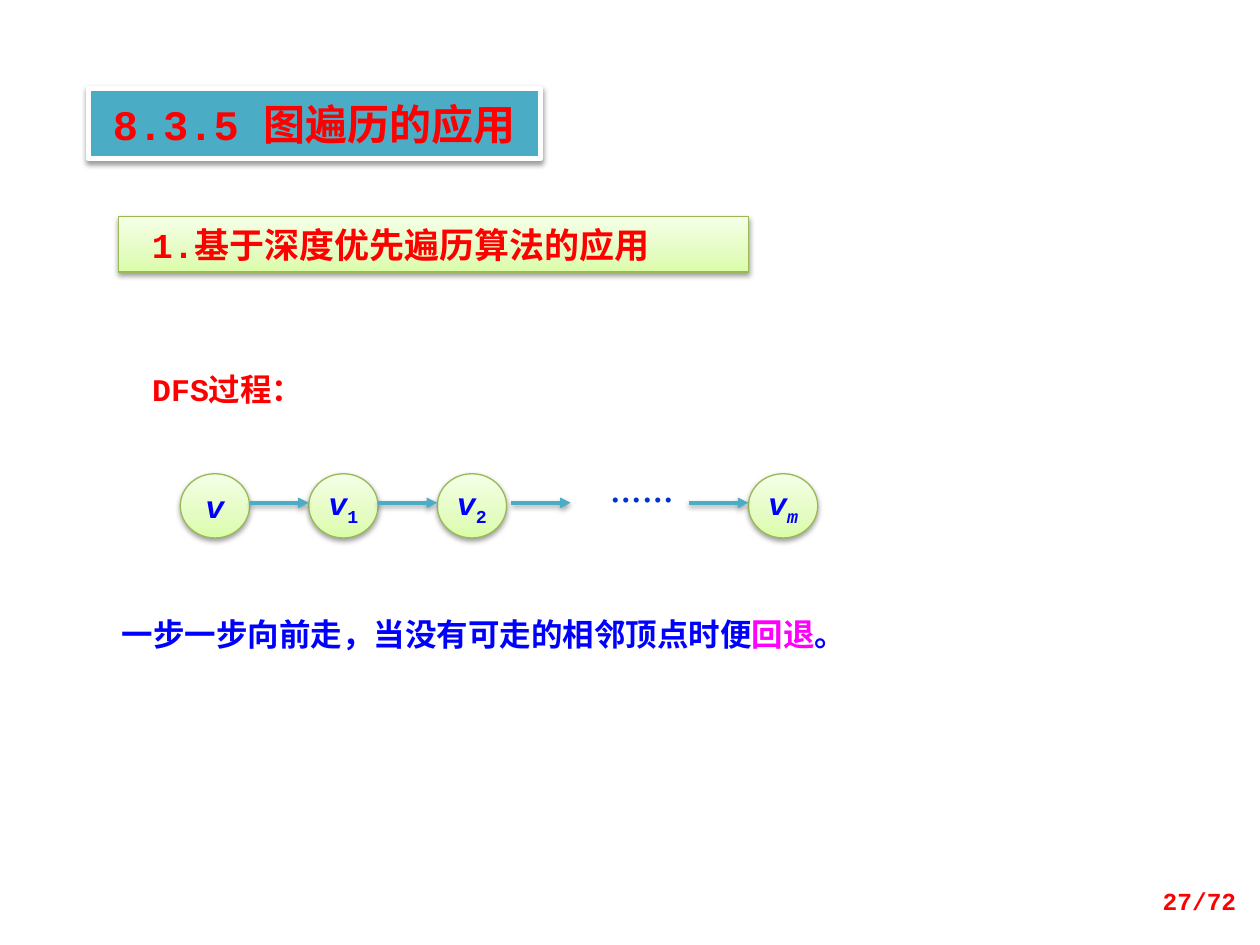
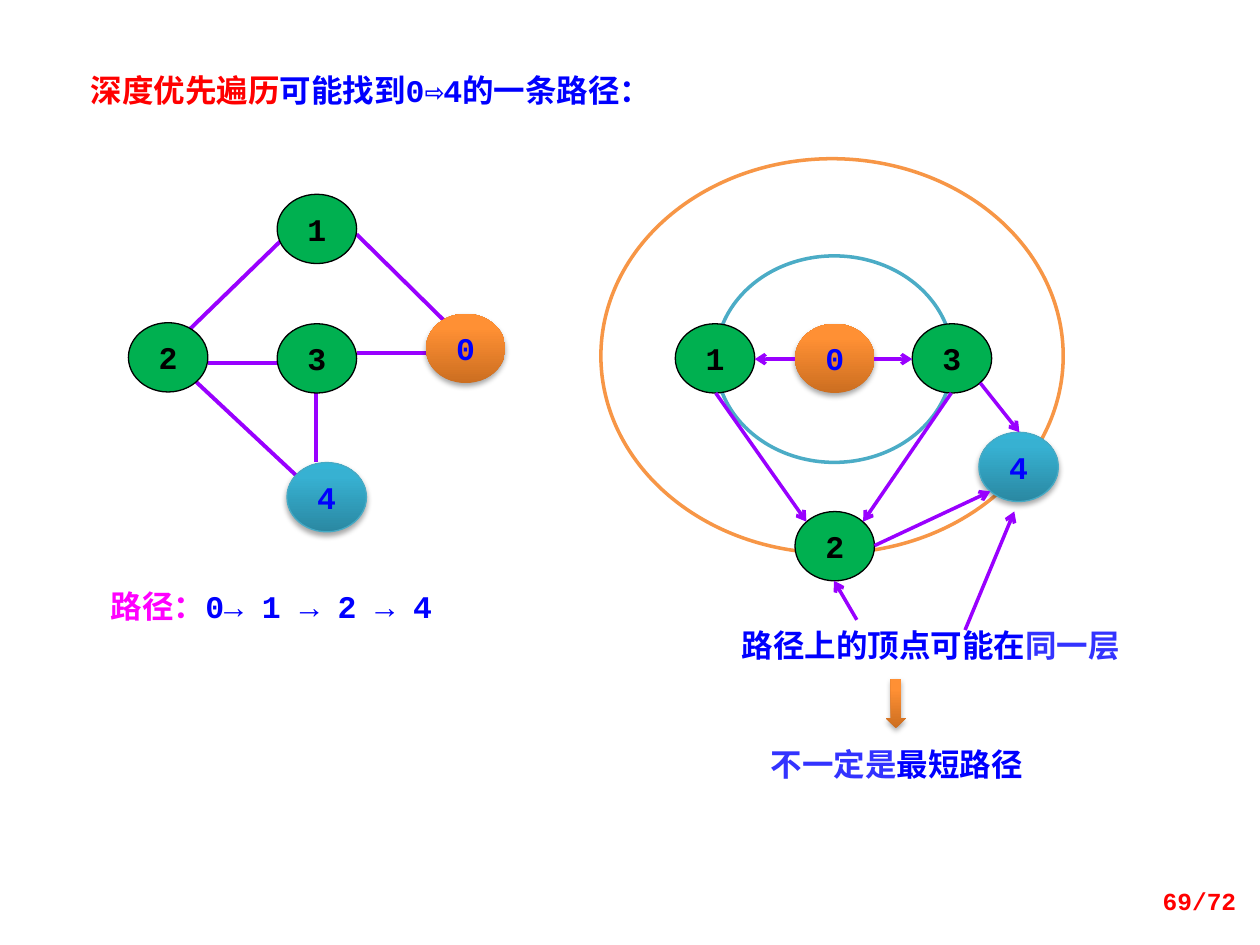
from copy import deepcopy

from lxml.etree import SubElement
from pptx import Presentation
from pptx.dml.color import RGBColor
from pptx.enum.shapes import MSO_CONNECTOR as Connector, MSO_SHAPE as Preset
from pptx.enum.text import MSO_ANCHOR as Anchor, MSO_AUTO_SIZE as AutoSize, PP_ALIGN as Align
from pptx.oxml.ns import qn
from pptx.util import Pt

RED = RGBColor(0xFF, 0x00, 0x00)
BLUE = RGBColor(0x00, 0x00, 0xFF)
SOFT_BLUE = RGBColor(0x33, 0x33, 0xFF)
DOT_BLUE = RGBColor(0x00, 0x33, 0xCC)
MAGENTA = RGBColor(0xFF, 0x00, 0xFF)
PURPLE = RGBColor(0x99, 0x00, 0xFF)
TEAL = RGBColor(0x4B, 0xAC, 0xC6)
ORANGE = RGBColor(0xF7, 0x96, 0x46)
GREEN = RGBColor(0x00, 0xB0, 0x50)
OLIVE = RGBColor(0x98, 0xB9, 0x55)
RIM_TEAL = RGBColor(0x46, 0xAA, 0xC5)
WHITE = RGBColor(0xFF, 0xFF, 0xFF)
BLACK = RGBColor(0x00, 0x00, 0x00)

LIME_STOPS = ((0, RGBColor(0xDA, 0xFD, 0xA7)), (0.35, RGBColor(0xE4, 0xFC, 0xC2)),
              (1, RGBColor(0xF5, 0xFF, 0xE7)))
TEAL_STOPS = ((0, RGBColor(0x2A, 0x88, 0xA2)), (0.8, RGBColor(0x37, 0xB1, 0xD2)),
              (1, RGBColor(0x34, 0xB4, 0xD6)))
ORANGE_STOPS = ((0, RGBColor(0xCC, 0x6E, 0x20)), (0.8, RGBColor(0xFF, 0x90, 0x34)),
                (1, RGBColor(0xFF, 0x91, 0x36)))

SOFT_SHADOW = {"alpha": 38, "distance": 1.57}
DEEP_SHADOW = {"alpha": 35, "distance": 1.81}
LIME_STYLE = {"fill": LIME_STOPS, "line": OLIVE, "shadow": SOFT_SHADOW}
VISITED_STYLE = {"fill": GREEN, "line": BLACK}
START_STYLE = {"fill": ORANGE_STOPS, "shadow": DEEP_SHADOW}
GOAL_STYLE = {"fill": TEAL_STOPS, "line": RIM_TEAL, "shadow": DEEP_SHADOW}
VERTEX_STYLES = {"0": START_STYLE, "4": GOAL_STYLE}

MONO = "Courier New"
SANS = "Noto Sans CJK SC"
SANS_JP = "Noto Sans CJK JP"
TEXT_HEIGHT = 28.8
CHAIN_NODE = (39.6, 36.7)
VERTEX = (45.4, 39.6)


def set_shadow(shape, shadow):
    effects = SubElement(shape.element.spPr, qn("a:effectLst"))
    if shadow:
        outer = SubElement(effects, qn("a:outerShdw"), blurRad=str(Pt(3.15)),
                           dist=str(Pt(shadow["distance"])), dir="5400000", rotWithShape="0")
        color = SubElement(outer, qn("a:srgbClr"), val="000000")
        SubElement(color, qn("a:alpha"), val=str(shadow["alpha"] * 1000))


def style_shape(shape, fill, line=None, line_width=0.75, shadow=None):
    if isinstance(fill, RGBColor):
        shape.fill.solid()
        shape.fill.fore_color.rgb = fill
    else:
        shape.fill.gradient()
        shape.fill.gradient_angle = 90
        stop_list = shape.element.spPr.find(".//" + qn("a:gsLst"))
        stop_list.append(deepcopy(stop_list[-1]))
        for stop, (position, color) in zip(shape.fill.gradient_stops, fill):
            stop.position = position
            stop.color.rgb = color
    if line is None:
        shape.line.fill.background()
    else:
        shape.line.color.rgb = line
        shape.line.width = Pt(line_width)
    set_shadow(shape, shadow)


def write_text(shape, spans, font=MONO, size=18, align=Align.LEFT, **frame_format):
    frame = shape.text_frame
    frame_values = {"word_wrap": True, "auto_size": AutoSize.NONE,
                    "vertical_anchor": Anchor.MIDDLE, "margin_left": Pt(7.2),
                    "margin_right": Pt(7.2), "margin_top": Pt(3.6),
                    "margin_bottom": Pt(3.6), **frame_format}
    for name, value in frame_values.items():
        setattr(frame, name, value)
    para = frame.paragraphs[0]
    para.alignment = align
    para.space_before = Pt(0)
    for text, color, *extras in spans:
        span = para.add_run()
        span.text = text
        values = {"name": font, "size": Pt(size), "bold": True, "italic": "italic" in extras}
        for name, value in values.items():
            setattr(span.font, name, value)
        span.font.color.rgb = color
        properties = span._r.get_or_add_rPr()
        SubElement(properties, qn("a:ea"), typeface=SANS if font == MONO else font)
        if "sub" in extras:
            properties.set("baseline", "-25000")


def add_text(page, box, spans, **text_format):
    shape = page.shapes.add_textbox(*map(Pt, box))
    write_text(shape, spans, **text_format)


def add_figure(page, preset, box, **style):
    shape = page.shapes.add_shape(preset, *map(Pt, box))
    style_shape(shape, **style)
    return shape


def add_line(page, origin, ends, color, width, head=None, shadow=None):
    left, top = origin
    x1, y1, x2, y2 = ends
    line = page.shapes.add_connector(Connector.STRAIGHT, Pt(left + x1), Pt(top + y1),
                                     Pt(left + x2), Pt(top + y2))
    line.line.color.rgb = color
    line.line.width = Pt(width)
    if head:
        SubElement(line.line._get_or_add_ln(), qn("a:tailEnd"), type=head)
    set_shadow(line, shadow)


def add_node(page, origin, offset, size, spans, style):
    box = (origin[0] + offset[0], origin[1] + offset[1], *size)
    node = add_figure(page, Preset.OVAL, box, **style)
    write_text(node, spans, align=Align.CENTER, word_wrap=False)


def add_vertices(page, origin, offsets):
    for label, offset in offsets.items():
        color = BLUE if label in VERTEX_STYLES else BLACK
        style = VERTEX_STYLES.get(label, VISITED_STYLE)
        add_node(page, origin, offset, VERTEX, [(label, color)], style)


def place_title(page, box, spans, **text_format):
    title = page.shapes.title
    for name, value in zip(("left", "top", "width", "height"), box):
        setattr(title, name, Pt(value))
    write_text(title, spans, **text_format)
    return title


def add_page_number(page, number):
    add_text(page, (545.8, 500.4, 167.8, TEXT_HEIGHT), [(f"{number}/72", RED)],
             size=14, align=Align.RIGHT)


def add_vertex_chain(page, origin):
    left, top = origin
    pitch, arrow_length, arrow_y = 73.44, 33.84, 16.6
    subscripts = [(0, None), (pitch, ("1", BLUE, "sub")), (2 * pitch, ("2", BLUE, "sub")),
                  (324.7, ("m", BLUE, "sub", "italic"))]
    arrow_starts = [x - arrow_length for x, subscript in subscripts if subscript]
    for x, subscript in subscripts:
        spans = [("v", BLUE, "italic")] + ([subscript] if subscript else [])
        add_node(page, origin, (x, 0), CHAIN_NODE, spans, LIME_STYLE)
    for x in arrow_starts + [189.3]:
        add_line(page, origin, (x, arrow_y, x + arrow_length, arrow_y), TEAL, 2,
                 "triangle", SOFT_SHADOW)
    add_text(page, (left + 239, top + 0.7, 67.7, TEXT_HEIGHT), [("……", DOT_BLUE)], font=SANS)


def add_undirected_graph(page, origin):
    edges = [(130.8, 22.9, 181.9, 73.3), (33.6, 102.1, 99.8, 164), (87.6, 26.5, 35.7, 76.9),
             (45.8, 96.4, 91.2, 96.4), (107.7, 113.6, 107.7, 153.2), (130.8, 90.6, 176.1, 90.6)]
    for ends in edges:
        add_line(page, origin, ends, PURPLE, 2.25)
    add_vertices(page, origin, {"1": (85.4, 0), "3": (85.4, 74), "2": (0.4, 73.4),
                                "4": (91, 153.3), "0": (170.4, 68.3)})


def add_layered_graph(page, origin):
    left, top = origin
    rings = [((0.4, 0.7, 264.2, 225.4), ORANGE), ((66, 56.2, 135.4, 118), TEAL)]
    for (x, y, width, height), color in rings:
        add_figure(page, Preset.OVAL, (left + x, top + y, width, height),
                   fill=WHITE, line=color, line_width=2)
    add_vertices(page, origin, {"0": (111.3, 95), "1": (42.9, 95), "3": (178.3, 95),
                                "2": (111.3, 202.3), "4": (216.4, 157)})
    arrows = [(156.7, 115.2, 178.3, 115.2), (111.3, 115.2, 88.3, 115.2),
              (66, 134.6, 117.8, 208.1), (200.6, 134.6, 150.2, 208.1),
              (217.2, 128.9, 239.5, 157), (156.7, 221.8, 222.9, 190.8)]
    for ends in arrows:
        add_line(page, origin, ends, PURPLE, 2, "arrow")


def add_conclusion(page, origin):
    left, top = origin
    add_text(page, (left, top, 331.9, TEXT_HEIGHT),
             [("路径上的顶点可能在", BLUE), ("同一层", SOFT_BLUE)],
             font=SANS, align=Align.CENTER)
    for ends in [(123.8, 0, 110.8, -22.3), (185.7, 5.8, 213.8, -61.9)]:
        add_line(page, origin, ends, PURPLE, 2, "arrow")
    add_figure(page, Preset.DOWN_ARROW, (left + 140.4, top + 33.9, 11.5, 28.1), **START_STYLE)
    add_text(page, (left + 67.6, top + 67.7, 174.2, TEXT_HEIGHT),
             [("不一定是", SOFT_BLUE), ("最短路径", BLUE)], font=SANS_JP)


def build_dfs_process(page):
    title = place_title(page, (50.4, 50.4, 258.5, 40.3), [("8.3.5 图遍历的应用", RED)],
                        size=24, align=Align.CENTER)
    style_shape(title, TEAL, WHITE, 3, SOFT_SHADOW)
    heading = add_figure(page, Preset.RECTANGLE, (67.7, 123.8, 360, 31.7), **LIME_STYLE)
    write_text(heading, [("1.基于深度优先遍历算法的应用", RED)], size=20, margin_left=Pt(19.2))
    add_text(page, (79.9, 208.1, 152.6, TEXT_HEIGHT), [("DFS过程：", RED)])
    add_vertex_chain(page, (103, 270.7))
    add_text(page, (62.6, 347.8, 437.8, TEXT_HEIGHT),
             [("一步一步向前走，当没有可走的相邻顶点时便", BLUE), ("回退", MAGENTA), ("。", BLUE)],
             font=SANS_JP)
    add_page_number(page, 27)


def build_dfs_path(page):
    place_title(page, (44.6, 36.7, 461.5, TEXT_HEIGHT),
                [("深度优先遍历", RED), ("可能找到0⇨4的一条路径：", BLUE)])
    add_layered_graph(page, (343, 90))
    add_undirected_graph(page, (73, 111))
    add_text(page, (56.2, 331.9, 219.6, TEXT_HEIGHT),
             [("路径：", MAGENTA), ("0→ 1 → 2 → 4", BLUE)])
    add_conclusion(page, (365.8, 354.2))
    add_page_number(page, 69)


def main():
    deck = Presentation()
    deck.slide_width, deck.slide_height = Pt(720), Pt(540)
    for build in (build_dfs_process, build_dfs_path):
        build(deck.slides.add_slide(deck.slide_layouts[5]))
    deck.save("out.pptx")


if __name__ == "__main__":
    main()
